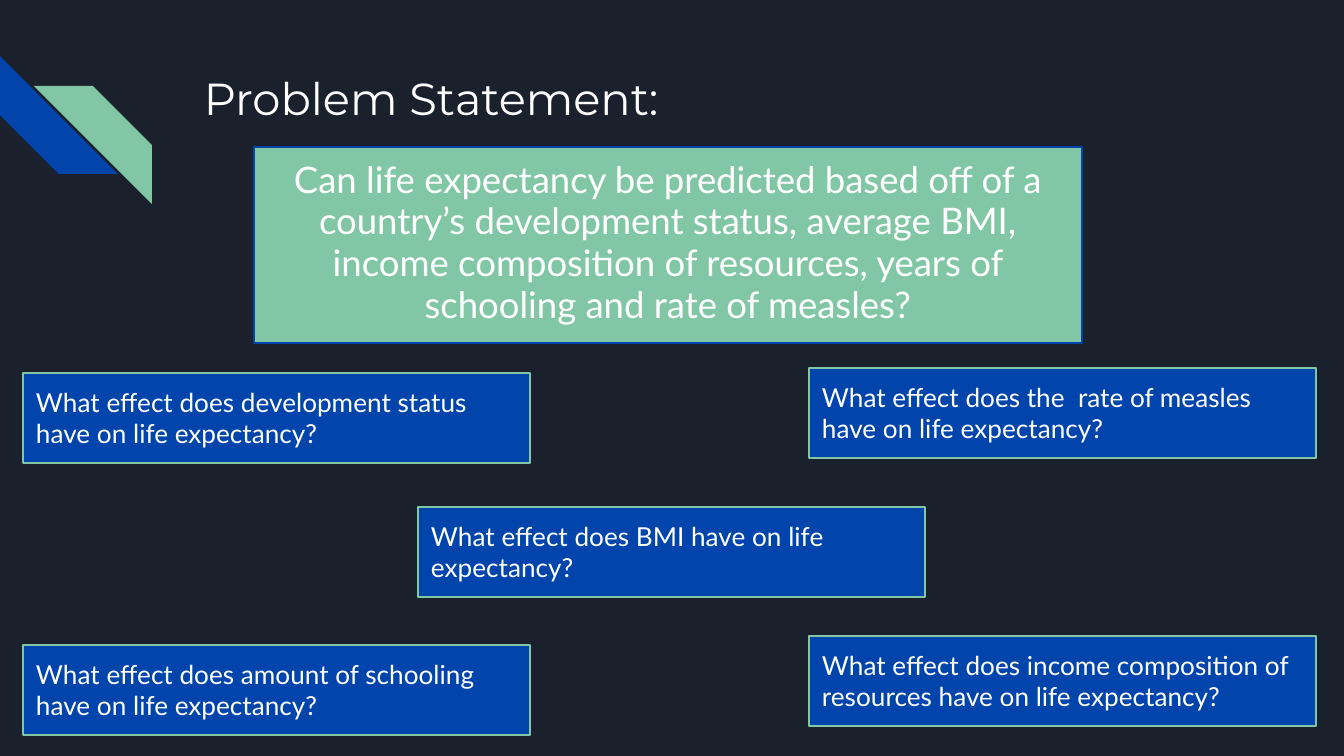
from dataclasses import dataclass

from pptx import Presentation
from pptx.dml.color import RGBColor as Rgb
from pptx.enum.shapes import MSO_SHAPE as Kind
from pptx.enum.text import MSO_ANCHOR as Anchor, MSO_AUTO_SIZE as Fit, PP_ALIGN as Align
from pptx.util import Emu, Pt

SCALE = 914400 / 134.4
DARK, BLUE, GREEN, WHITE = "1B212C", "0145AC", "82C7A5", "FFFFFF"
PAD = 13
ASK_W, ASK_H = 507, 90
LEFT, MID, RIGHT = 23, 418, 809


@dataclass
class Box:
    x: int
    y: int
    w: int
    h: int
    text: str
    size: float = 14
    face: str = "Lato"
    fill: str = BLUE
    edge: str = GREEN


@dataclass
class Stripe:
    x: int
    y: int
    fill: str
    turn: int = 0
    flip: bool = False


STRIPES = [
    Stripe(0, 56, BLUE, turn=270),
    Stripe(34, 86, GREEN, flip=True),
]
TITLE = Box(191, 58, 1035, 134, "Problem Statement:", 24, "Montserrat")
MAIN = Box(
    254, 147, 828, 196,
    "Can life expectancy be predicted based off of a country’s development status, "
    "average BMI, income composition of resources, years of schooling and rate of measles?",
    19.6, fill=GREEN, edge=BLUE,
)
ASKS = [
    (LEFT, 373, "does development status"),
    (MID, 507, "does BMI"),
    (RIGHT, 636, "does income composition of resources"),
    (LEFT, 645, "does amount of schooling"),
    (RIGHT, 368, "does the  rate of measles"),
]


def px(n: int) -> Emu:
    return Emu(round(n * SCALE))


def rgb(code: str) -> Rgb:
    return Rgb.from_string(code)


def apply(obj, **vals) -> None:
    for key, val in vals.items():
        setattr(obj, key, val)


def paint(shape, fill: str) -> None:
    shape.shadow.inherit = False
    shape.fill.solid()
    shape.fill.fore_color.rgb = rgb(fill)


def draw_stripe(slide, item: Stripe) -> None:
    shape = slide.shapes.add_shape(
        Kind.DIAGONAL_STRIPE, px(item.x), px(item.y), px(118), px(118))
    paint(shape, item.fill)
    shape.line.fill.background()
    shape.rotation = item.turn
    if item.flip:
        shape._element.spPr.xfrm.set("flipH", "1")


def write(shape, box: Box, **form) -> None:
    frame = shape.text_frame
    sides = ("left", "right", "top", "bottom")
    apply(frame, word_wrap=True, auto_size=Fit.NONE, vertical_anchor=Anchor.TOP,
          **{f"margin_{side}": px(PAD) for side in sides})
    para = frame.paragraphs[0]
    apply(para, **{"alignment": Align.LEFT, **form})
    run = para.add_run()
    run.text = box.text
    apply(run.font, name=box.face, size=Pt(box.size))
    run.font.color.rgb = rgb(WHITE)


def draw_box(slide, box: Box, **form) -> None:
    shape = slide.shapes.add_shape(
        Kind.RECTANGLE, px(box.x), px(box.y), px(box.w), px(box.h))
    paint(shape, box.fill)
    shape.line.color.rgb = rgb(box.edge)
    shape.line.width = Pt(0.75)
    write(shape, box, **form)


def main() -> None:
    deck = Presentation()
    apply(deck, slide_width=px(1344), slide_height=px(756))
    slide = deck.slides.add_slide(deck.slide_layouts[6])
    back = slide.background.fill
    back.solid()
    back.fore_color.rgb = rgb(DARK)

    for item in STRIPES:
        draw_stripe(slide, item)
    label = slide.shapes.add_textbox(px(TITLE.x), px(TITLE.y), px(TITLE.w), px(TITLE.h))
    write(label, TITLE)
    draw_box(slide, MAIN, alignment=Align.CENTER, line_spacing=0.95, space_after=Pt(12))
    for x, y, topic in ASKS:
        text = f"What effect {topic} have on life expectancy?"
        draw_box(slide, Box(x, y, ASK_W, ASK_H, text))

    deck.save("out.pptx")


if __name__ == "__main__":
    main()
